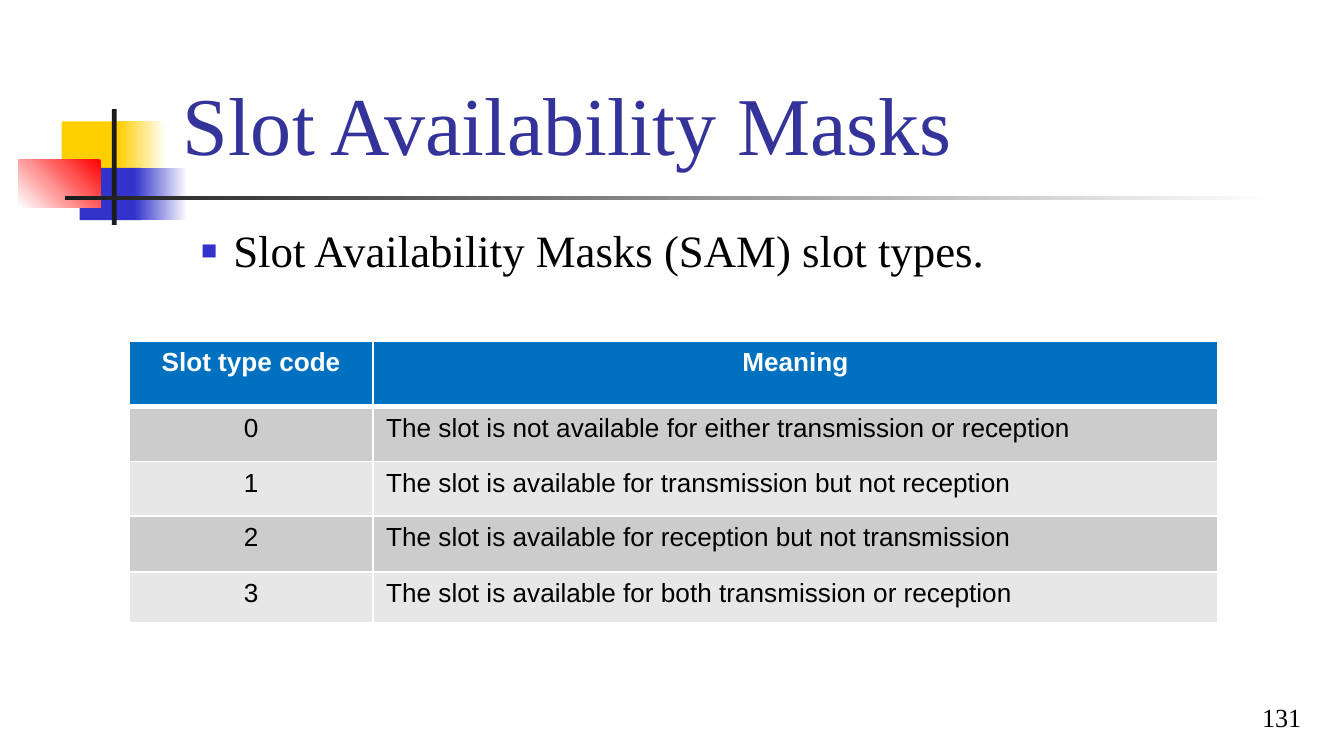
from lxml.etree import SubElement
from pptx import Presentation
from pptx.dml.color import RGBColor
from pptx.enum.shapes import MSO_SHAPE
from pptx.enum.text import MSO_ANCHOR as ANCHOR, PP_ALIGN as ALIGN
from pptx.oxml import parse_xml
from pptx.oxml.ns import nsdecls, qn
from pptx.util import Pt

WHITE, BLACK, YELLOW, BLUE, DARK = "FFFFFF", "000000", "FFCF01", "3333CC", "1C1C1C"
SERIF, SANS = "Times New Roman", "Arial"
color = RGBColor.from_string


def style_text(paragraph, size, font, text_color, bold=False):
    for run in paragraph.runs:
        run.font.size = Pt(size)
        run.font.name = font
        run.font.bold = bold
        run.font.color.rgb = color(text_color)


def add_text(text, box, margin, anchor, size, text_color):
    """Add a one-paragraph serif text box; margin is for top and bottom."""
    shape = slide.shapes.add_textbox(*map(Pt, box))
    frame = shape.text_frame
    frame.word_wrap = True
    frame.vertical_anchor = anchor
    frame.margin_top = frame.margin_bottom = Pt(margin)
    frame.text = text
    paragraph = frame.paragraphs[0]
    style_text(paragraph, size, SERIF, text_color)
    return paragraph


presentation = Presentation()
presentation.slide_width = Pt(720)
presentation.slide_height = Pt(405)
slide = presentation.slides.add_slide(presentation.slide_layouts[6])

# Decoration: box, colours (one is solid, two a gradient), counter-clockwise angle
decoration = [
    ((33, 65, 34.5, 28), [YELLOW], 0),
    ((63.2, 65, 25.8, 28), [WHITE, YELLOW], 180),
    ((42.7, 90, 33, 28), [BLUE], 0),
    ((72, 90, 28.5, 28), [WHITE, BLUE], 180),
    ((9.8, 85.5, 44.2, 25.5), ["FF0000", WHITE], 225),
    ((60, 58.5, 2.5, 62), [DARK], 0),
    ((34.8, 105, 648, 2.2), [WHITE, DARK], 180),
]
for box, colors, angle in decoration:
    shape = slide.shapes.add_shape(MSO_SHAPE.RECTANGLE, *map(Pt, box))
    shape.shadow.inherit = False
    shape.line.fill.background()
    if len(colors) == 1:
        shape.fill.solid()
        shape.fill.fore_color.rgb = color(colors[0])
    else:
        shape.fill.gradient()
        shape.fill.gradient_angle = angle
        for stop, stop_color in zip(shape.fill.gradient_stops, colors):
            stop.color.rgb = color(stop_color)

# Title, bullet and slide number
add_text("Slot Availability Masks", (90.7, 13, 613.5, 86.4), 7.2, ANCHOR.BOTTOM, 44, "333399")
bullet = add_text("Slot Availability Masks (SAM) slot types.",
                  (90.7, 112.3, 592, 243.4), 7.2, ANCHOR.TOP, 24, BLACK)
bullet.space_before = Pt(6.4)
properties = bullet._p.get_or_add_pPr()
properties.set("marL", str(Pt(27.2)))
properties.set("indent", str(Pt(-17.2)))
bullet_color = SubElement(properties, qn("a:buClr"))
SubElement(bullet_color, qn("a:srgbClr"), val=BLUE)
SubElement(properties, qn("a:buSzPct"), val="60000")
SubElement(properties, qn("a:buFont"), typeface=SANS)
SubElement(properties, qn("a:buChar"), char="■")
number = add_text("131", (554.4, 368.6, 149.8, 27.4), 3.6, ANCHOR.BOTTOM, 14, BLACK)
number.alignment = ALIGN.RIGHT

# Table of slot types
rows = [
    ("Slot type code", "Meaning"),
    ("0", "The slot is not available for either transmission or reception"),
    ("1", "The slot is available for transmission but not reception"),
    ("2", "The slot is available for reception but not transmission"),
    ("3", "The slot is available for both transmission or reception"),
]
column_widths = [130.3, 452.9]
row_heights = [35.2, 29.3, 29.1, 30.1, 27.2]
table = slide.shapes.add_table(len(rows), 2, Pt(69.4), Pt(182.8),
                               Pt(sum(column_widths)), Pt(sum(row_heights))).table
table.first_row = table.horz_banding = False
for column, width in zip(table.columns, column_widths):
    column.width = Pt(width)
for row, height in zip(table.rows, row_heights):
    row.height = Pt(height)

for row_index, texts in enumerate(rows):
    header = row_index == 0
    fill = "0070C0" if header else ("E7E7E7", "CCCCCC")[row_index % 2]
    border_widths = {"L": 1, "R": 1, "T": 3 if row_index == 1 else 1, "B": 3 if header else 1}
    for column_index, text in enumerate(texts):
        cell = table.cell(row_index, column_index)
        cell.text = text
        paragraph = cell.text_frame.paragraphs[0]
        paragraph.alignment = ALIGN.CENTER if header or column_index == 0 else ALIGN.LEFT
        style_text(paragraph, 14, SANS, WHITE if header else BLACK, header)
        cell.fill.solid()
        cell.fill.fore_color.rgb = color(fill)
        for position, (side, width) in enumerate(border_widths.items()):
            border = parse_xml(
                f'<a:ln{side} {nsdecls("a")} w="{Pt(width)}"><a:solidFill>'
                f'<a:srgbClr val="{WHITE}"/></a:solidFill></a:ln{side}>')
            cell._tc.get_or_add_tcPr().insert(position, border)

presentation.save("out.pptx")
